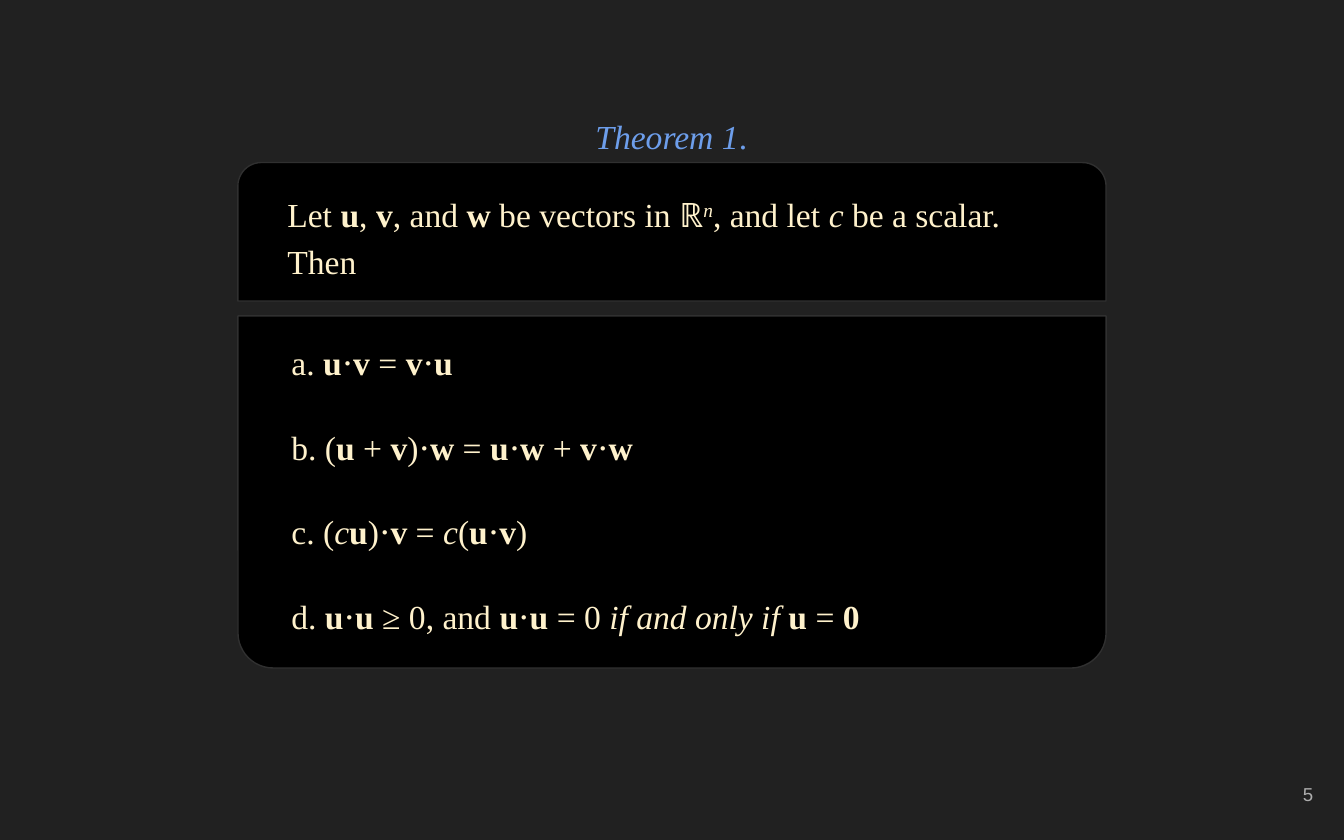
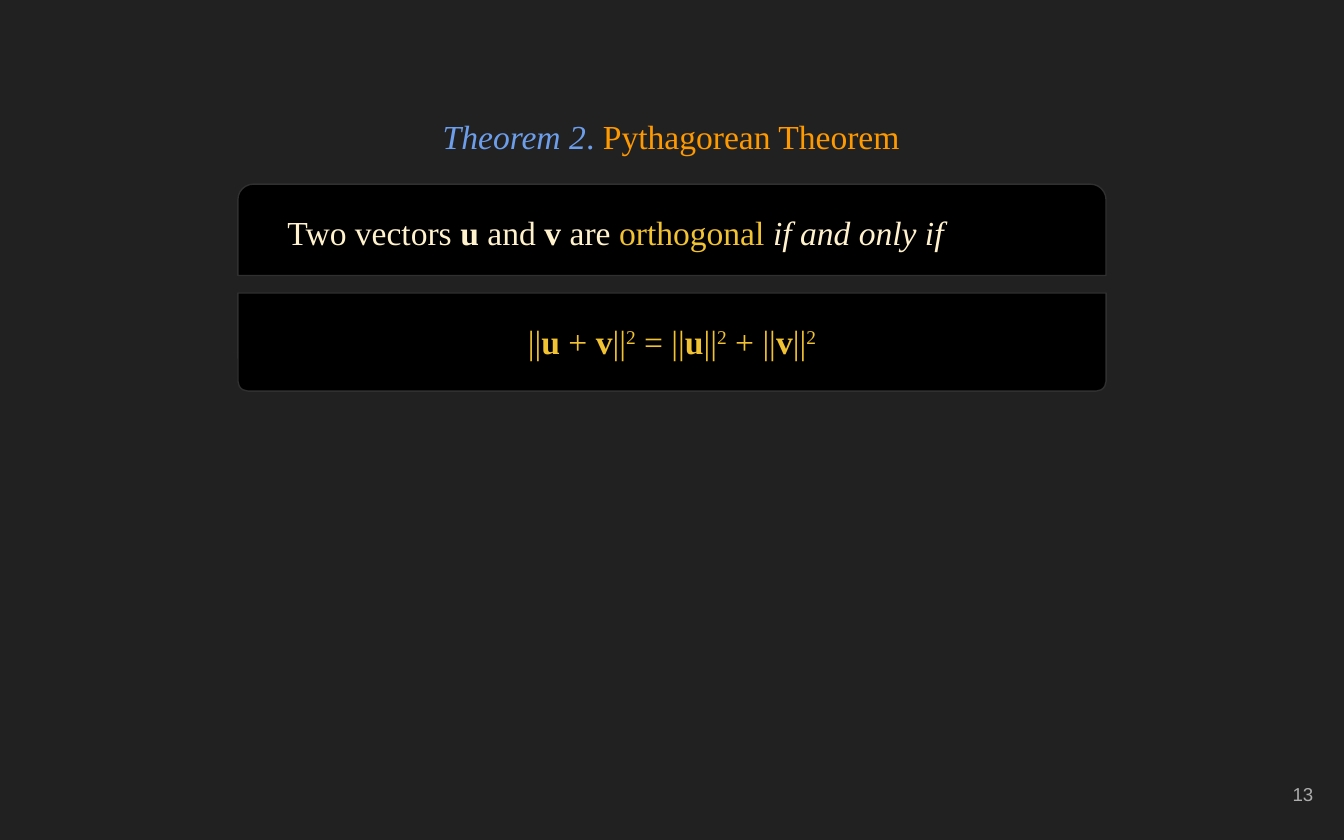
import dataclasses

import pptx
import pptx.dml.color
import pptx.enum.shapes
import pptx.enum.text
import pptx.util

Inches = pptx.util.Inches
Pt = pptx.util.Pt
RGB = pptx.dml.color.RGBColor.from_string
ALIGN = pptx.enum.text.PP_ALIGN
ANCHOR = pptx.enum.text.MSO_ANCHOR


@dataclasses.dataclass(frozen=True)
class Theme:
    background: str = "212121"
    panel: str = "000000"
    border: str = "303030"
    body: str = "FFF2CC"
    label: str = "6D9EEB"
    name: str = "FF9900"
    key: str = "F1C232"
    number: str = "ADADAD"
    serif: str = "Times New Roman"
    sans: str = "Arial"
    body_size: int = 18
    number_size: int = 10


theme = Theme()
PANEL_LEFT, PANEL_WIDTH = 1.77, 6.46
TEXT_WIDTH = 5.93
ROW_HEIGHT = 0.63


def add_panel(shapes, top, height, bottom=False):
    sp = shapes.add_shape(
        pptx.enum.shapes.MSO_SHAPE.ROUND_2_SAME_RECTANGLE,
        Inches(PANEL_LEFT), Inches(top), Inches(PANEL_WIDTH), Inches(height))
    sp.adjustments[0] = 0.1 if bottom else 0.17
    sp.adjustments[1] = 0
    sp.rotation = 180 if bottom else 0
    sp.shadow.inherit = False
    sp.fill.solid()
    sp.fill.fore_color.rgb = RGB(theme.panel)
    sp.line.color.rgb = RGB(theme.border)
    sp.line.width = Pt(0.75)


def add_text(shapes, box, runs, color=theme.body, font=theme.serif, size=theme.body_size,
             align=ALIGN.LEFT, anchor=ANCHOR.TOP, spacing=1.15, after=16):
    tf = shapes.add_textbox(*[Inches(v) for v in box]).text_frame
    tf.word_wrap = True
    tf.vertical_anchor = anchor
    tf.margin_left = tf.margin_right = tf.margin_top = tf.margin_bottom = Inches(0.1)
    p = tf.paragraphs[0]
    p.alignment = align
    p.line_spacing = spacing
    p.space_after = Pt(after)
    for text, style, *run_color in runs:
        r = p.add_run()
        r.text = text
        r.font.name = font
        r.font.size = Pt(size)
        r.font.bold = "b" in style
        r.font.italic = "i" in style
        r.font.color.rgb = RGB(run_color[0] if run_color else color)
        if "^" in style:
            r.font._element.set("baseline", "30000")


prs = pptx.Presentation()
prs.slide_width, prs.slide_height = Inches(10), Inches(6.25)

headings = [
    ("5", [("Theorem 1", "i"), (".", "")]),
    ("13", [("Theorem 2", "i"), (". ", ""), ("Pythagorean Theorem", "", theme.name)]),
]
for number, heading in headings:
    s = prs.slides.add_slide(prs.slide_layouts[6])
    s.background.fill.solid()
    s.background.fill.fore_color.rgb = RGB(theme.background)
    add_text(s.shapes, (9.27, 5.67, 0.6, 0.48), [(number, "")], theme.number, theme.sans,
             theme.number_size, ALIGN.RIGHT, ANCHOR.MIDDLE, 1, 0)
    add_text(s.shapes, (0.48, 0.72, 9.03, 0.58), heading, theme.label,
             align=ALIGN.CENTER, anchor=ANCHOR.MIDDLE, spacing=1)

properties_slide, pythagoras_slide = prs.slides

add_panel(properties_slide.shapes, 2.35, 2.62, bottom=True)
premise = properties_slide.shapes.add_group_shape().shapes
add_panel(premise, 1.21, 1.03)
add_text(premise, (2.04, 1.3, TEXT_WIDTH, 0.86), [
    ("Let ", ""), ("u", "b"), (", ", ""), ("v", "b"), (", and ", ""), ("w", "b"),
    (" be vectors in ℝ", ""), ("n", "i^"), (", and let ", ""), ("c", "i"),
    (" be a scalar. Then", "")])

properties = [
    [("a. ", ""), ("u", "b"), ("⋅", ""), ("v", "b"), (" = ", ""),
     ("v", "b"), ("⋅", ""), ("u", "b")],
    [("b. (", ""), ("u ", "b"), ("+ ", ""), ("v", "b"), (")⋅", ""), ("w", "b"), (" = ", ""),
     ("u", "b"), ("⋅", ""), ("w", "b"), (" + ", ""), ("v", "b"), ("⋅", ""), ("w", "b")],
    [("c. (", ""), ("c", "i"), ("u", "b"), (")⋅", ""), ("v", "b"), (" = ", ""),
     ("c", "i"), ("(", ""), ("u", "b"), ("⋅", ""), ("v", "b"), (")", "")],
    [("d. ", ""), ("u", "b"), ("⋅", ""), ("u", "b"), (" ≥ 0, and ", ""),
     ("u", "b"), ("⋅", ""), ("u ", "b"), ("= 0 ", ""), ("if and only if ", "i"),
     ("u", "b"), (" = ", ""), ("0", "b")],
]
for i, runs in enumerate(properties):
    add_text(properties_slide.shapes,
             (2.07, 2.4 + i * ROW_HEIGHT, TEXT_WIDTH, ROW_HEIGHT), runs)

condition = pythagoras_slide.shapes.add_group_shape().shapes
add_panel(condition, 1.37, 0.68)
add_text(condition, (2.04, 1.43, TEXT_WIDTH, 0.57), [
    ("Two vectors ", ""), ("u", "b"), (" and ", ""), ("v", "b"), (" are ", ""),
    ("orthogonal ", "", theme.key), ("if and only if", "i")])

equation = pythagoras_slide.shapes.add_group_shape().shapes
add_panel(equation, 2.18, 0.73, bottom=True)
add_text(equation, (3.72, 2.24, 2.56, ROW_HEIGHT), [
    ("||", ""), ("u", "b"), (" + ", ""), ("v", "b"), ("||", ""), ("2", "^"),
    (" = ||", ""), ("u", "b"), ("||", ""), ("2", "^"),
    (" + ||", ""), ("v", "b"), ("||", ""), ("2", "^")], theme.key, align=ALIGN.CENTER)

prs.save("out.pptx")
